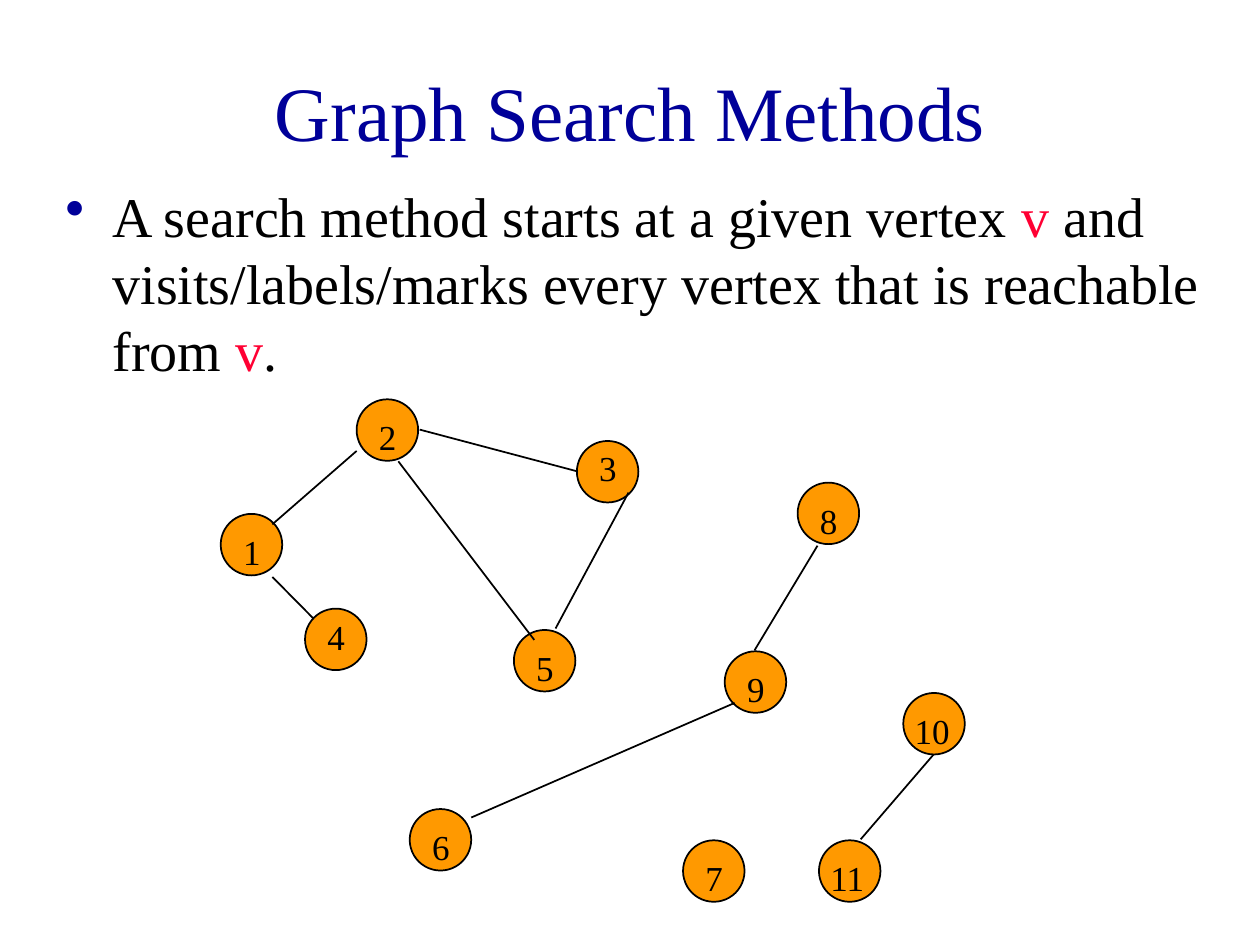
"""Build the slide on graph search methods with its example graph."""
from typing import Any, NamedTuple

import pptx
import pptx.dml.color
import pptx.enum.shapes
import pptx.enum.text
import pptx.oxml.ns
import pptx.util
from lxml import etree
from pptx.util import Cm

COLORS = {"heading": "000099", "ink": "000000", "accent": "FF0033", "vertex": "FF9900"}
FONT = "Times New Roman"
DIAMETER = 1.24
FRAME_FORMAT = {
    "word_wrap": True,
    "margin_left": Cm(0.25),
    "margin_right": Cm(0.25),
    "margin_top": Cm(0.13),
    "margin_bottom": Cm(0.13),
}


class Vertex(NamedTuple):
    label: str
    left: float
    top: float
    label_drop: float = 0.2
    label_width: float = 0.64


class Edge(NamedTuple):
    x1: float
    y1: float
    x2: float
    y2: float


class Phrase(NamedTuple):
    text: str
    color: str = "ink"


VERTICES = [
    Vertex("1", 4.45, 10.36),
    Vertex("2", 7.19, 8.05),
    Vertex("3", 11.63, 8.89, label_drop=-0.02),
    Vertex("4", 6.15, 12.27, label_drop=0),
    Vertex("5", 10.36, 12.7),
    Vertex("6", 8.26, 16.31),
    Vertex("7", 13.77, 16.94),
    Vertex("8", 16.08, 9.73),
    Vertex("9", 14.61, 13.13),
    Vertex("10", 18.21, 13.97, label_width=1.27),
    Vertex("11", 16.51, 16.94, label_width=2.11),
]
EDGES = [
    Edge(7.19, 9.09, 5.49, 10.57),
    Edge(8.03, 9.3, 10.77, 12.9),
    Edge(5.49, 11.63, 6.32, 12.47),
    Edge(12.67, 9.93, 11.2, 12.67),
    Edge(16.48, 11, 15.21, 13.11),
    Edge(17.35, 16.92, 18.82, 15.21),
    Edge(8.46, 8.66, 11.63, 9.5),
    Edge(9.5, 16.48, 14.81, 14.17),
]
DEFINITION = [
    Phrase("A search method starts at a given vertex "),
    Phrase("v ", "accent"),
    Phrase("and visits/labels/marks every vertex that is reachable from "),
    Phrase("v", "accent"),
    Phrase("."),
]


def apply_format(target: Any, values: dict[str, Any]) -> None:
    """Set every named attribute of the target."""
    for attribute, value in values.items():
        setattr(target, attribute, value)


def rgb(name: str) -> pptx.dml.color.RGBColor:
    """Return the colour of that name."""
    return pptx.dml.color.RGBColor.from_string(COLORS[name])


def add_text(slide: Any, box: tuple[float, ...], phrases: list[Phrase], size: int) -> Any:
    """Add one paragraph of coloured phrases and return its frame."""
    frame = slide.shapes.add_textbox(*map(Cm, box)).text_frame
    apply_format(frame, FRAME_FORMAT)
    for phrase in phrases:
        run = frame.paragraphs[0].add_run()
        run.text = phrase.text
        apply_format(run.font, {"name": FONT, "size": pptx.util.Pt(size)})
        run.font.color.rgb = rgb(phrase.color)
    return frame


def add_bullet(paragraph: Any) -> None:
    """Give the paragraph a coloured bullet and a hanging indent."""
    qn = pptx.oxml.ns.qn
    properties = paragraph._p.get_or_add_pPr()
    properties.set("marL", str(Cm(0.95)))
    properties.set("indent", str(Cm(-0.95)))
    color = etree.SubElement(properties, qn("a:buClr"))
    etree.SubElement(color, qn("a:srgbClr"), val=COLORS["heading"])
    etree.SubElement(properties, qn("a:buChar"), char="•")


def draw_outline(line: Any) -> None:
    """Apply the thin dark line of the graph."""
    line.color.rgb = rgb("ink")
    line.width = pptx.util.Pt(1)


def draw_vertex(slide: Any, vertex: Vertex) -> None:
    """Draw the circle of a vertex."""
    circle = slide.shapes.add_shape(
        pptx.enum.shapes.MSO_SHAPE.OVAL,
        *map(Cm, (vertex.left, vertex.top, DIAMETER, DIAMETER)),
    )
    circle.shadow.inherit = False
    circle.fill.solid()
    circle.fill.fore_color.rgb = rgb("vertex")
    draw_outline(circle.line)


def draw_edge(slide: Any, edge: Edge) -> None:
    """Draw a straight edge of the graph."""
    connector = slide.shapes.add_connector(
        pptx.enum.shapes.MSO_CONNECTOR.STRAIGHT, *map(Cm, edge)
    )
    draw_outline(connector.line)
    etree.SubElement(connector._element.spPr, pptx.oxml.ns.qn("a:effectLst"))


def draw_label(slide: Any, vertex: Vertex) -> None:
    """Write the number of a vertex over its circle."""
    shift = 0.2 if len(vertex.label) == 1 else -0.02
    box = (vertex.left + shift, vertex.top + vertex.label_drop, vertex.label_width, 1.09)
    add_text(slide, box, [Phrase(vertex.label)], 20)


def main() -> None:
    """Build and save the presentation."""
    presentation = pptx.Presentation()
    apply_format(presentation, {"slide_width": Cm(25.4), "slide_height": Cm(19.05)})
    slide = presentation.slides.add_slide(presentation.slide_layouts[6])

    heading = add_text(
        slide, (1.91, 0.64, 21.59, 3.18), [Phrase("Graph Search Methods", "heading")], 44
    )
    heading.vertical_anchor = pptx.enum.text.MSO_ANCHOR.MIDDLE
    heading.paragraphs[0].alignment = pptx.enum.text.PP_ALIGN.CENTER
    definition = add_text(slide, (1.07, 3.53, 24.33, 4.93), DEFINITION, 32)
    add_bullet(definition.paragraphs[0])

    for vertex in VERTICES:
        draw_vertex(slide, vertex)
    for edge in EDGES:
        draw_edge(slide, edge)
    for vertex in VERTICES:
        draw_label(slide, vertex)
    presentation.save("out.pptx")


if __name__ == "__main__":
    main()
